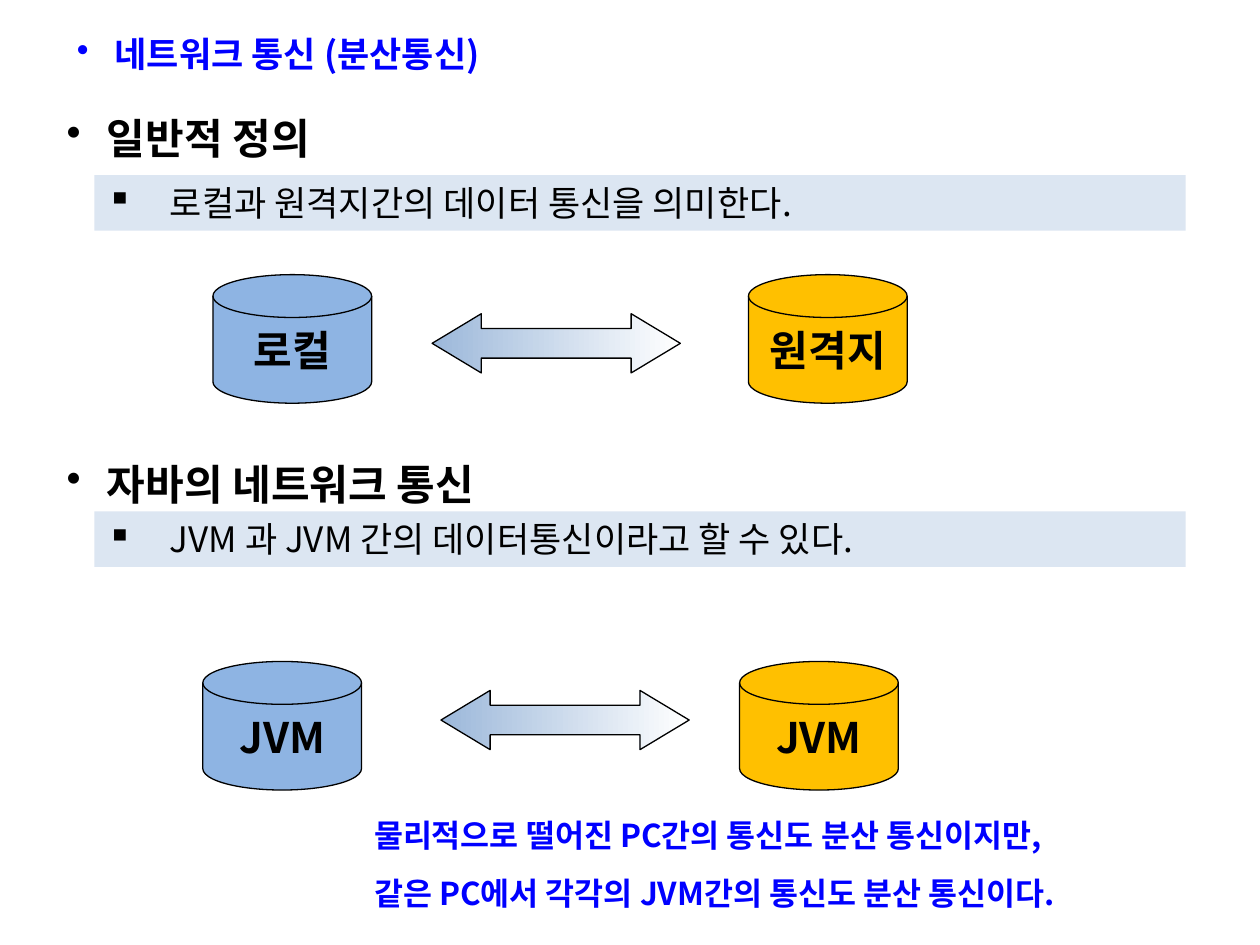
from typing import NamedTuple

from lxml.etree import SubElement
from pptx import Presentation
from pptx.dml.color import RGBColor
from pptx.enum.shapes import MSO_SHAPE
from pptx.enum.text import MSO_ANCHOR, MSO_AUTO_SIZE, PP_ALIGN
from pptx.oxml.ns import qn
from pptx.util import Inches, Pt

FONT = "Noto Sans CJK KR"
BLACK = RGBColor(0x00, 0x00, 0x00)
WHITE = RGBColor(0xFF, 0xFF, 0xFF)
BLUE = RGBColor(0x00, 0x00, 0xFF)
PALE = RGBColor(0xDC, 0xE6, 0xF2)
SKY = RGBColor(0x8E, 0xB4, 0xE3)
STEEL = RGBColor(0x9C, 0xB8, 0xDA)
GOLD = RGBColor(0xFF, 0xC0, 0x00)


class Box(NamedTuple):
    left: float
    top: float
    width: float
    height: float


class Style(NamedTuple):
    size: int
    color: RGBColor = BLACK
    bold: bool = True
    bullet: str = ""
    indent: float = 0
    before: float = 0
    align: PP_ALIGN = PP_ALIGN.LEFT
    anchor: MSO_ANCHOR = MSO_ANCHOR.TOP
    wrap: bool = True


class Topic(NamedTuple):
    head: str
    top: float
    body: str
    bar: float


class Link(NamedTuple):
    names: tuple[str, str]
    disks: tuple[float, float]
    top: float
    arrow: tuple[float, float]


TITLE = Style(20, BLUE, bullet="•", indent=0.3, before=12.5)
HEAD = Style(24, bullet="•", indent=0.32, before=15)
BODY = Style(20, bold=False, bullet="▪", indent=0.5)
DISK = Style(24, align=PP_ALIGN.CENTER, anchor=MSO_ANCHOR.MIDDLE, wrap=False)
NOTE = Style(18, BLUE, before=11.2)

TOPICS = [
    Topic("일반적 정의", 0.84, "로컬과 원격지간의 데이터 통신을 의미한다.", 1.39),
    Topic("자바의 네트워크 통신", 3.59,
          "JVM 과 JVM 간의 데이터통신이라고 할 수 있다.", 4.06),
]
LINKS = [
    Link(("로컬", "원격지"), (1.69, 5.94), 2.18, (3.43, 2.49)),
    Link(("JVM", "JVM"), (1.61, 5.87), 5.25, (3.5, 5.48)),
]
LINES = [
    "물리적으로 떨어진 PC간의 통신도 분산 통신이지만,",
    "같은 PC에서 각각의 JVM간의 통신도 분산 통신이다.",
]


def place(box: Box) -> list[int]:
    return [Inches(n) for n in box]


def write(shape, lines: list[str], style: Style) -> None:
    frame = shape.text_frame
    look = {
        "word_wrap": style.wrap,
        "auto_size": MSO_AUTO_SIZE.NONE,
        "vertical_anchor": style.anchor,
    }
    for key, val in look.items():
        setattr(frame, key, val)
    frame.text = "\n".join(lines)
    for para in frame.paragraphs:
        para.alignment = style.align
        para.space_before = Pt(style.before)
        if style.bullet:
            props = para._p.get_or_add_pPr()
            props.set("marL", str(Inches(style.indent)))
            props.set("indent", str(-Inches(style.indent)))
            SubElement(props, qn("a:buChar"), char=style.bullet)
        font = para.runs[0].font
        form = {"size": Pt(style.size), "bold": style.bold, "name": FONT}
        for key, val in form.items():
            setattr(font, key, val)
        font.color.rgb = style.color
        SubElement(font._element, qn("a:ea"), typeface=FONT)


def draw(shapes, kind: MSO_SHAPE, box: Box, fill: RGBColor | None = None,
         edge: bool = True):
    shape = shapes.add_shape(kind, *place(box))
    shape.shadow.inherit = False
    if fill is not None:
        shape.fill.solid()
        shape.fill.fore_color.rgb = fill
    if edge:
        shape.line.color.rgb = BLACK
        shape.line.width = Pt(0.75)
    else:
        shape.line.fill.background()
    return shape


def add_topic(shapes, topic: Topic) -> None:
    head = shapes.add_textbox(*place(Box(0.43, topic.top, 8.58, 0.5)))
    write(head, [topic.head], HEAD)
    bar = draw(shapes, MSO_SHAPE.RECTANGLE, Box(0.75, topic.bar, 8.66, 0.44),
               PALE, edge=False)
    write(bar, [topic.body], BODY)


def add_link(shapes, link: Link) -> None:
    """Group two disks with a double arrow between them."""
    group = shapes.add_group_shape().shapes
    for name, left, fill in zip(link.names, link.disks, (SKY, GOLD)):
        disk = draw(group, MSO_SHAPE.FLOWCHART_MAGNETIC_DISK,
                    Box(left, link.top, 1.26, 1.02), fill)
        write(disk, [name], DISK)
    arrow = draw(group, MSO_SHAPE.LEFT_RIGHT_ARROW,
                 Box(*link.arrow, 1.97, 0.47))
    arrow.adjustments[0] = 0.5
    arrow.adjustments[1] = 0.83
    arrow.fill.gradient()
    arrow.fill.gradient_angle = 0
    for stop, color in zip(arrow.fill.gradient_stops, (STEEL, WHITE)):
        stop.color.rgb = color


def main() -> None:
    deck = Presentation()
    deck.slide_width, deck.slide_height = Inches(10), Inches(7.5)
    slide = deck.slides.add_slide(deck.slide_layouts[5])
    shapes = slide.shapes

    title = shapes.title
    sides = ("left", "top", "width", "height")
    for side, val in zip(sides, place(Box(0.51, 0.21, 8.43, 0.44))):
        setattr(title, side, val)
    write(title, ["네트워크 통신 (분산통신)"], TITLE)

    for topic in TOPICS:
        add_topic(shapes, topic)
    for link in LINKS:
        add_link(shapes, link)

    note = shapes.add_textbox(*place(Box(2.87, 6.43, 5.99, 0.86)))
    write(note, LINES, NOTE)
    deck.save("out.pptx")


if __name__ == "__main__":
    main()
